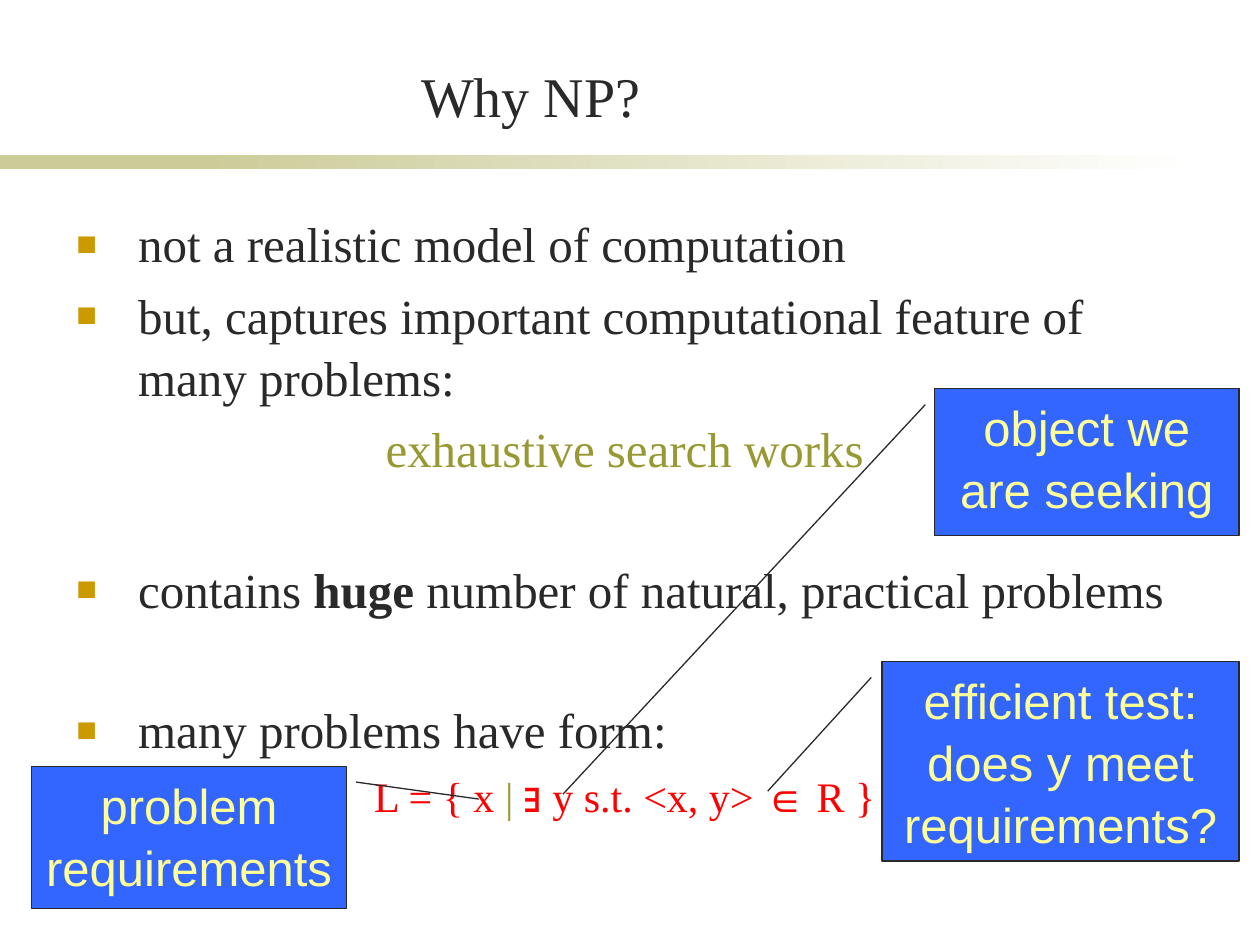
from lxml.etree import SubElement
from pptx import Presentation
from pptx.dml.color import RGBColor
from pptx.enum.shapes import MSO_SHAPE
from pptx.enum.text import MSO_ANCHOR, MSO_AUTO_SIZE, PP_ALIGN
from pptx.oxml.ns import qn
from pptx.util import Inches, Pt

COLORS = {
    "text": "292929",
    "olive": "999933",
    "formula": "FF0000",
    "bullet": "CC9900",
    "band": "CCCC99",
    "white": "FFFFFF",
    "callout": "3366FF",
    "callout_text": "FFFF99",
}
SERIF, SANS = "Times New Roman", "Arial"
CELL = Inches(10) // 120
LINE_SPACING = 1.05
INDENT = Inches(0.49)
SPACE, SECTION_SPACE = 5.6, 45


def color(name):
    return RGBColor.from_string(COLORS[name])


def grid(*cells):
    return [round(cell * CELL) for cell in cells]


def style_run(run, font, size, color_name, bold=False):
    run.font.name = font
    run.font.size = Pt(size)
    run.font.bold = bold
    run.font.color.rgb = color(color_name)


def add_band(slide, box, end_color):
    shape = slide.shapes.add_shape(MSO_SHAPE.RECTANGLE, *grid(*box))
    shape.shadow.inherit = False
    shape.line.fill.background()
    shape.fill.gradient()
    shape.fill.gradient_angle = 0
    for stop, name in zip(shape.fill.gradient_stops, ("band", end_color)):
        stop.color.rgb = color(name)


def set_title(slide, text, box):
    title = slide.shapes.title
    title.left, title.top, title.width, title.height = grid(*box)
    frame = title.text_frame
    frame.text = text
    frame.auto_size = MSO_AUTO_SIZE.NONE
    frame.vertical_anchor = MSO_ANCHOR.BOTTOM
    frame.paragraphs[0].alignment = PP_ALIGN.CENTER
    style_run(frame.paragraphs[0].runs[0], SERIF, 32, "text")


def format_indent(paragraph, bulleted):
    properties = paragraph._p.get_or_add_pPr()
    properties.set("marL", str(INDENT))
    properties.set("indent", str(-INDENT))
    if bulleted:
        bullet_color = SubElement(properties, qn("a:buClr"))
        SubElement(bullet_color, qn("a:srgbClr"), val=COLORS["bullet"])
        SubElement(properties, qn("a:buSzPct"), val="70000")
        SubElement(properties, qn("a:buFont"), typeface=SANS)
        SubElement(properties, qn("a:buChar"), char="■")
    else:
        SubElement(properties, qn("a:buNone"))


def add_body(slide, box, items):
    frame = slide.shapes.add_textbox(*grid(*box)).text_frame
    frame.word_wrap = True
    for index, (bulleted, space, size, parts) in enumerate(items):
        paragraph = frame.add_paragraph() if index else frame.paragraphs[0]
        format_indent(paragraph, bulleted)
        paragraph.alignment = PP_ALIGN.LEFT if bulleted else PP_ALIGN.CENTER
        paragraph.line_spacing = LINE_SPACING
        paragraph.space_before = Pt(space)
        for text, color_name, bold in parts:
            run = paragraph.add_run()
            run.text = text
            style_run(run, SERIF, size, color_name, bold)


def add_callout(slide, text, box, pointer):
    shape = slide.shapes.add_shape(MSO_SHAPE.LINE_CALLOUT_1, *grid(*box))
    for index, value in enumerate(pointer):
        shape.adjustments[index] = value
    shape.shadow.inherit = False
    shape.fill.solid()
    shape.fill.fore_color.rgb = color("callout")
    shape.line.color.rgb = color("text")
    shape.line.width = Pt(0.75)
    frame = shape.text_frame
    frame.text = text
    frame.word_wrap = True
    frame.vertical_anchor = MSO_ANCHOR.TOP
    paragraph = frame.paragraphs[0]
    paragraph.alignment = PP_ALIGN.CENTER
    paragraph.line_spacing = LINE_SPACING
    style_run(paragraph.runs[0], SANS, 28, "callout_text")


def main():
    presentation = Presentation()
    presentation.slide_width, presentation.slide_height = grid(120, 90)
    slide = presentation.slides.add_slide(presentation.slide_layouts[5])

    add_band(slide, (0, 14.75, 28, 1.33), "band")
    add_band(slide, (19, 14.75, 95, 1.33), "white")
    set_title(slide, "Why NP?", (13.7, 5.25, 73.7, 7.6))
    add_body(slide, (6.1, 19.5, 106.8, 57.6), [
        (True, 0, 28, [("not a realistic model of computation", "text", False)]),
        (True, SPACE, 28, [
            ("but, captures important computational feature of many problems:", "text", False),
        ]),
        (False, SPACE, 28, [("exhaustive search works", "olive", False)]),
        (True, SECTION_SPACE, 28, [
            ("contains ", "text", False),
            ("huge", "text", True),
            (" number of natural, practical problems", "text", False),
        ]),
        (True, SECTION_SPACE, 28, [("many problems have form:", "text", False)]),
        (False, SPACE, 24, [
            ("L = { x ", "formula", False),
            ("| ", "olive", False),
            ("∃ y s.t. <x, y> ∈ R }", "formula", False),
        ]),
    ])
    add_callout(slide, "problem requirements", (3, 73, 30, 13.5), (0.11, 1.03, 0.23, 1.42))
    add_callout(slide, "object we are seeking", (89, 37, 29, 14), (0.11, -0.03, 2.76, -1.22))
    add_callout(slide, "efficient test: does y meet requirements?", (84, 63, 34, 19),
                (0.08, -0.03, 0.65, -0.32))
    presentation.save("out.pptx")


if __name__ == "__main__":
    main()
